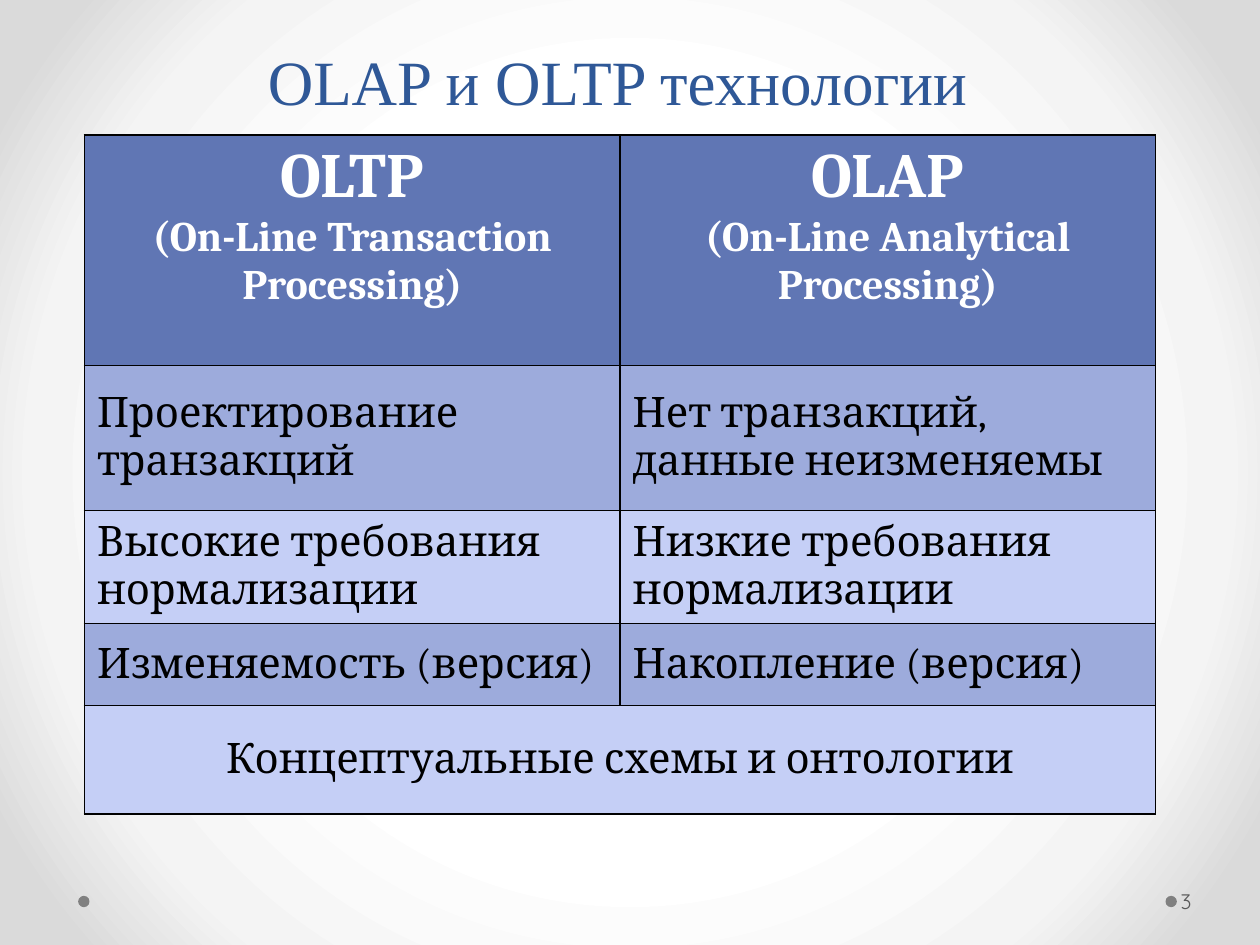
from typing import NamedTuple

from lxml import etree
from pptx import Presentation
from pptx.dml.color import RGBColor
from pptx.enum.shapes import MSO_SHAPE
from pptx.enum.text import MSO_ANCHOR, PP_ALIGN
from pptx.oxml.ns import qn
from pptx.util import Inches, Pt

OVAL = MSO_SHAPE.OVAL
LEFT, CENTER = PP_ALIGN.LEFT, PP_ALIGN.CENTER
TOP, MIDDLE, BOTTOM = MSO_ANCHOR.TOP, MSO_ANCHOR.MIDDLE, MSO_ANCHOR.BOTTOM

TITLE_BLUE = RGBColor(0x2F, 0x58, 0x97)
HEADER_BLUE = RGBColor(0x60, 0x76, 0xB4)
BAND_DARK = RGBColor(0x9D, 0xAB, 0xDC)
BAND_LIGHT = RGBColor(0xC5, 0xCF, 0xF6)
DOT_GRAY = RGBColor(0x80, 0x80, 0x80)
NUMBER_GRAY = RGBColor(0x59, 0x59, 0x59)
WHITE = RGBColor(0xFF, 0xFF, 0xFF)
BLACK = RGBColor(0, 0, 0)

BACKDROP_STOPS = ((50, WHITE), (76, RGBColor(0xF4, 0xF4, 0xF4)),
                  (92, RGBColor(0xDA, 0xDA, 0xDA)))


class Line(NamedTuple):
    text: str
    size: int = 24


class Row(NamedTuple):
    height: float
    cells: tuple[tuple[Line, ...], ...]
    fill: RGBColor
    color: RGBColor = BLACK
    bold: bool = False
    align: PP_ALIGN = LEFT
    anchor: MSO_ANCHOR = MIDDLE


ROWS = (
    Row(1.83, ((Line("OLTP", 36), Line("(On-Line Transaction Processing)")),
               (Line("OLAP", 36), Line("(On-Line Analytical Processing)"))),
        HEADER_BLUE, WHITE, True, CENTER, TOP),
    Row(1.15, ((Line("Проектирование транзакций"),),
               (Line("Нет транзакций, данные неизменяемы"),)), BAND_DARK),
    Row(0.86, ((Line("Высокие требования нормализации"),),
               (Line("Низкие требования нормализации"),)), BAND_LIGHT),
    Row(0.65, ((Line("Изменяемость (версия)"),),
               (Line("Накопление (версия)"),)), BAND_DARK),
    Row(0.86, ((Line("Концептуальные схемы и онтологии"),),), BAND_LIGHT, align=CENTER),
)
COLUMN_WIDTHS = (4.25, 4.25)


def add_span(para, text: str, size: int, font: str, color: RGBColor, bold: bool = False) -> None:
    span = para.add_run()
    span.text = text
    span.font.size = Pt(size)
    span.font.name = font
    span.font.color.rgb = color
    span.font.bold = bold


def paint_backdrop(slide) -> None:
    """Fill the background with a circular gradient from the centre."""
    fill = slide.background.fill
    fill.gradient()
    gradient = slide.element.find(".//" + qn("a:gradFill"))
    for child in list(gradient):
        gradient.remove(child)
    stops = etree.SubElement(gradient, qn("a:gsLst"))
    for position, color in BACKDROP_STOPS:
        stop = etree.SubElement(stops, qn("a:gs"), pos=str(position * 1000))
        etree.SubElement(stop, qn("a:srgbClr"), val=str(color))
    circle = etree.SubElement(gradient, qn("a:path"), {"path": "circle"})
    etree.SubElement(circle, qn("a:fillToRect"), dict.fromkeys("ltrb", "50000"))


def add_dot(slide, left: float) -> None:
    dot = slide.shapes.add_shape(OVAL, Inches(left), Inches(7.11), Inches(0.09), Inches(0.09))
    dot.shadow.inherit = False
    dot.fill.solid()
    dot.fill.fore_color.rgb = DOT_GRAY
    dot.line.fill.background()


def add_borders(cell) -> None:
    properties = cell._tc.get_or_add_tcPr()
    for index, side in enumerate(("lnL", "lnR", "lnT", "lnB")):
        border = etree.Element(qn(f"a:{side}"), w=str(Pt(1)))
        fill = etree.SubElement(border, qn("a:solidFill"))
        etree.SubElement(fill, qn("a:srgbClr"), val=str(BLACK))
        properties.insert(index, border)


def fill_cell(cell, lines: tuple[Line, ...], row: Row) -> None:
    cell.vertical_anchor = row.anchor
    frame = cell.text_frame
    for index, line in enumerate(lines):
        para = frame.add_paragraph() if index else frame.paragraphs[0]
        para.alignment = row.align
        add_span(para, line.text, line.size, "Cambria", row.color, row.bold)


def add_comparison(slide) -> None:
    height = sum(row.height for row in ROWS)
    table = slide.shapes.add_table(
        len(ROWS), len(COLUMN_WIDTHS), Inches(0.67), Inches(1.07),
        Inches(sum(COLUMN_WIDTHS)), Inches(height)).table
    for column, width in zip(table.columns, COLUMN_WIDTHS):
        column.width = Inches(width)
    for index, row in enumerate(ROWS):
        table.rows[index].height = Inches(row.height)
        cells = list(table.rows[index].cells)
        for cell in cells:
            cell.fill.solid()
            cell.fill.fore_color.rgb = row.fill
            add_borders(cell)
        if len(row.cells) < len(cells):
            cells[0].merge(cells[-1])
        for cell, lines in zip(cells, row.cells):
            fill_cell(cell, lines, row)


def add_title(slide) -> None:
    title = slide.shapes.title
    title.left, title.top = Inches(0.39), Inches(0.05)
    title.width, title.height = Inches(9.02), Inches(0.94)
    title.text_frame.vertical_anchor = BOTTOM
    para = title.text_frame.paragraphs[0]
    para.alignment = CENTER
    para.line_spacing = Pt(58)
    add_span(para, "OLAP и OLTP технологии", 36, "Times New Roman", TITLE_BLUE)


def add_page_number(slide) -> None:
    box = slide.shapes.add_textbox(Inches(9.34), Inches(6.95), Inches(0.61), Inches(0.4))
    frame = box.text_frame
    frame.word_wrap = True
    frame.vertical_anchor = MIDDLE
    frame.margin_left = Inches(0.03)
    frame.margin_right = Inches(0.05)
    add_span(frame.paragraphs[0], "3", 12, "Quicksand", NUMBER_GRAY)


def main() -> None:
    deck = Presentation()
    deck.slide_width, deck.slide_height = Inches(10), Inches(7.5)
    slide = deck.slides.add_slide(deck.slide_layouts[5])
    paint_backdrop(slide)
    for left in (9.25, 0.62):
        add_dot(slide, left)
    add_title(slide)
    add_page_number(slide)
    add_comparison(slide)
    deck.save("out.pptx")


if __name__ == "__main__":
    main()
